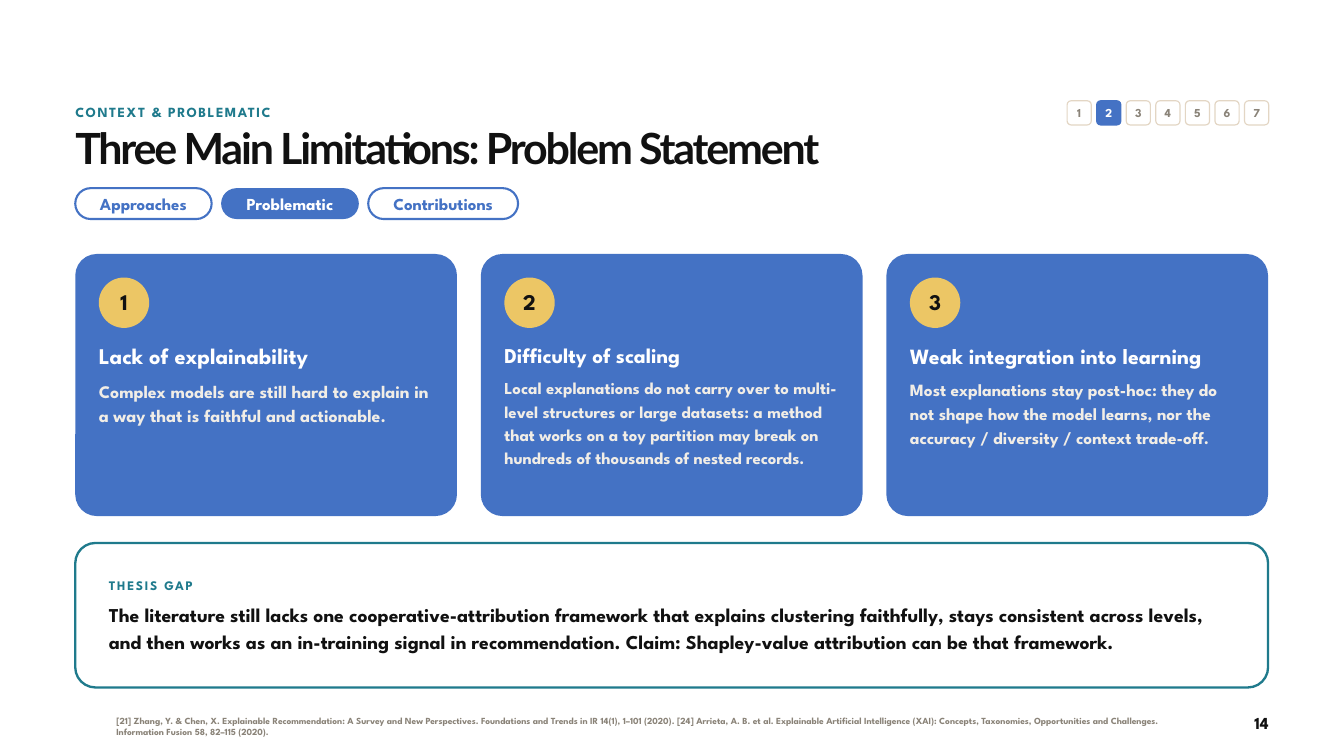
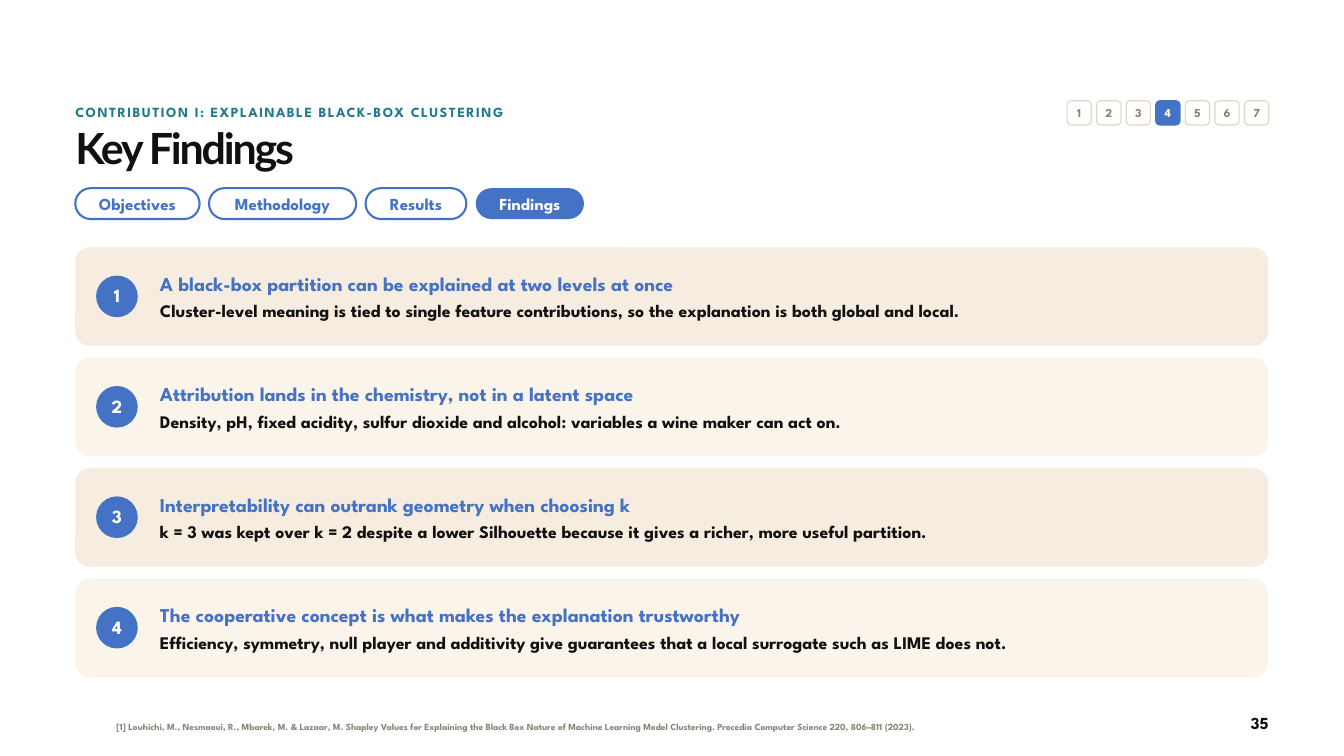
"""Build the two thesis slides: the problem statement and the key findings."""
from dataclasses import dataclass
from typing import NamedTuple, Optional

from pptx import Presentation
from pptx.dml.color import RGBColor
from pptx.enum.shapes import MSO_SHAPE
from pptx.enum.text import MSO_ANCHOR, MSO_AUTO_SIZE, PP_ALIGN
from pptx.shapes.autoshape import Shape
from pptx.slide import Slide
from pptx.text.text import TextFrame
from pptx.util import Inches, Pt


@dataclass(frozen=True)
class Theme:
    font: str = "League Spartan"
    head: str = "Lato"
    blue: str = "4472C4"
    teal: str = "1F7A8C"
    gold: str = "ECC665"
    ink: str = "111111"
    gray: str = "8A8378"
    white: str = "FFFFFF"
    pale: str = "F1EDE6"
    edge: str = "E3D6C4"
    sand: str = "F6ECDF"
    cream: str = "FBF4EB"
    title: float = 46
    badge: float = 24
    lead: float = 21
    mark: float = 20
    body: float = 19
    tab: float = 18
    kicker: float = 15
    label: float = 14
    chip: float = 13
    note: float = 10


class Box(NamedTuple):
    left: float
    top: float
    width: float
    height: float


class Tab(NamedTuple):
    text: str
    width: float


class Card(NamedTuple):
    head: str
    body: str
    scale: float = 1


class Row(NamedTuple):
    head: str
    body: str


@dataclass(frozen=True)
class Frame:
    kicker: str
    title: str
    stage: int
    tabs: tuple[Tab, ...]
    tab: int
    note: str
    page: int


T = Theme()
LEFT, WIDTH = 1.12, 17.75
STAGES = 7

LIMITS = Frame(
    "CONTEXT & PROBLEMATIC", "Three Main Limitations: Problem Statement", 2,
    (Tab("Approaches", 2.03), Tab("Problematic", 2.05), Tab("Contributions", 2.23)), 1,
    "[21] Zhang, Y. & Chen, X. Explainable Recommendation: A Survey and New Perspectives. "
    "Foundations and Trends in IR 14(1), 1–101 (2020). [24] Arrieta, A. B. et al. "
    "Explainable Artificial Intelligence (XAI): Concepts, Taxonomies, Opportunities and "
    "Challenges. Information Fusion 58, 82–115 (2020).", 14)

CARDS = (
    Card("Lack of explainability",
         "Complex models are still hard to explain in a way that is faithful and actionable."),
    Card("Difficulty of scaling",
         "Local explanations do not carry over to multi-level structures or large datasets: "
         "a method that works on a toy partition may break on hundreds of thousands of "
         "nested records.", 0.94),
    Card("Weak integration into learning",
         "Most explanations stay post-hoc: they do not shape how the model learns, nor the "
         "accuracy / diversity / context trade-off.", 0.97),
)

GAP = ("The literature still lacks one cooperative-attribution framework that explains "
       "clustering faithfully, stays consistent across levels, and then works as an "
       "in-training signal in recommendation. Claim: Shapley-value attribution can be "
       "that framework.")

FINDINGS = Frame(
    "CONTRIBUTION I: EXPLAINABLE BLACK-BOX CLUSTERING", "Key Findings", 4,
    (Tab("Objectives", 1.85), Tab("Methodology", 2.19), Tab("Results", 1.5),
     Tab("Findings", 1.61)), 3,
    "[1] Louhichi, M., Nesmaoui, R., Mbarek, M. & Lazaar, M. Shapley Values for Explaining "
    "the Black Box Nature of Machine Learning Model Clustering. Procedia Computer Science "
    "220, 806–811 (2023).", 35)

ROWS = (
    Row("A black-box partition can be explained at two levels at once",
        "Cluster-level meaning is tied to single feature contributions, so the explanation "
        "is both global and local."),
    Row("Attribution lands in the chemistry, not in a latent space",
        "Density, pH, fixed acidity, sulfur dioxide and alcohol: variables a wine maker "
        "can act on."),
    Row("Interpretability can outrank geometry when choosing k",
        "k = 3 was kept over k = 2 despite a lower Silhouette because it gives a richer, "
        "more useful partition."),
    Row("The cooperative concept is what makes the explanation trustworthy",
        "Efficiency, symmetry, null player and additivity give guarantees that a local "
        "surrogate such as LIME does not."),
)


def write(frame: TextFrame, text: str, *, size: float, line: float, color: str = T.ink,
          font: str = T.font, align: PP_ALIGN = PP_ALIGN.LEFT, before: float = 0,
          track: float = 0) -> None:
    """Add one bold paragraph to a text frame."""
    para = frame.add_paragraph() if frame.text else frame.paragraphs[0]
    para.alignment = align
    para.line_spacing = Pt(round(line, 1))
    if before:
        para.space_before = Pt(round(before, 1))
    run = para.add_run()
    run.text = text
    run.font.name = font
    run.font.size = Pt(round(size, 1))
    run.font.bold = True
    run.font.color.rgb = RGBColor.from_string(color)
    if track:
        run.font._element.set("spc", str(round(track * 100)))


def setup(frame: TextFrame, anchor: MSO_ANCHOR) -> TextFrame:
    """Clear the margins and set wrapping and anchor."""
    frame.margin_left = frame.margin_right = frame.margin_top = frame.margin_bottom = 0
    frame.auto_size = MSO_AUTO_SIZE.NONE
    frame.word_wrap = True
    frame.vertical_anchor = anchor
    return frame


def note(slide: Slide, box: Box, anchor: MSO_ANCHOR = MSO_ANCHOR.TOP) -> TextFrame:
    """Place an empty text box."""
    return setup(slide.shapes.add_textbox(*map(Inches, box)).text_frame, anchor)


def draw(slide: Slide, box: Box, *, fill: Optional[str] = None, edge: Optional[str] = None,
         weight: float = 0, bend: Optional[float] = None) -> Shape:
    """Draw a rounded box, or an ellipse when no corner radius is given."""
    kind = MSO_SHAPE.OVAL if bend is None else MSO_SHAPE.ROUNDED_RECTANGLE
    shape = slide.shapes.add_shape(kind, *map(Inches, box))
    shape.shadow.inherit = False
    if bend is not None:
        shape.adjustments[0] = bend / min(box.width, box.height)
    if fill:
        shape.fill.solid()
        shape.fill.fore_color.rgb = RGBColor.from_string(fill)
    else:
        shape.fill.background()
    if edge:
        shape.line.color.rgb = RGBColor.from_string(edge)
        shape.line.width = Pt(weight)
    else:
        shape.line.fill.background()
    setup(shape.text_frame, MSO_ANCHOR.MIDDLE)
    return shape


def badge(slide: Slide, box: Box, num: int, fill: str, color: str, size: float) -> None:
    """Draw a numbered disc."""
    disc = draw(slide, box, fill=fill)
    write(disc.text_frame, str(num), size=size, line=size * 1.1, color=color,
          align=PP_ALIGN.CENTER)


def chips(slide: Slide, stage: int) -> None:
    """Draw the row of stage numbers with the current one filled."""
    for num in range(1, STAGES + 1):
        live = num == stage
        box = Box(15.88 + 0.44 * (num - 1), 1.5, 0.36, 0.36)
        chip = draw(slide, box, fill=T.blue if live else T.white,
                    edge=T.blue if live else T.edge, weight=1.25, bend=0.06)
        write(chip.text_frame, str(num), size=T.chip, line=15,
              color=T.white if live else T.gray, align=PP_ALIGN.CENTER)


def tabs(slide: Slide, items: tuple[Tab, ...], pick: int) -> None:
    """Draw the section tabs from left to right."""
    left = LEFT
    for spot, tab in enumerate(items):
        live = spot == pick
        pill = draw(slide, Box(left, 2.8, tab.width, 0.46), fill=T.blue if live else None,
                    edge=None if live else T.blue, weight=2.25, bend=0.23)
        write(pill.text_frame, tab.text, size=T.tab, line=21.6,
              color=T.white if live else T.blue, align=PP_ALIGN.CENTER)
        left += tab.width + 0.14


def start(deck: Presentation, data: Frame) -> Slide:
    """Add a slide with the shared title, tabs and footer."""
    slide = deck.slides.add_slide(deck.slide_layouts[5])
    title = slide.shapes.title
    title.left, title.top, title.width, title.height = map(
        Inches, Box(LEFT, 1.88, WIDTH, 0.8))
    write(setup(title.text_frame, MSO_ANCHOR.TOP), data.title, size=T.title, line=50.6,
          font=T.head, track=-2.3)
    write(note(slide, Box(1.73, 10.5, 15.85, 0.62), MSO_ANCHOR.MIDDLE), data.note,
          size=T.note, line=12, color=T.gray)
    write(note(slide, Box(17.68, 10.6, 1.2, 0.36)), str(data.page), size=T.tab, line=22,
          align=PP_ALIGN.RIGHT)
    write(note(slide, Box(LEFT, 1.52, 14.15, 0.36)), data.kicker, size=T.kicker, line=20,
          color=T.teal, track=1.6)
    chips(slide, data.stage)
    tabs(slide, data.tabs, data.tab)
    return slide


def limits(deck: Presentation) -> None:
    """Build the slide with three cards and the thesis gap."""
    slide = start(deck, LIMITS)
    wide = 5.68
    step = (WIDTH - wide) / (len(CARDS) - 1)
    for spot, card in enumerate(CARDS):
        left = LEFT + spot * step
        draw(slide, Box(left, 3.78, wide, 3.9), fill=T.blue, bend=0.32)
        badge(slide, Box(left + 0.35, 4.13, 0.75, 0.75), spot + 1, T.gold, T.ink, T.badge)
        text = note(slide, Box(left + 0.35, 5.08, 4.98, 2.4))
        write(text, card.head, size=T.badge * card.scale, line=30 * card.scale,
              color=T.white)
        write(text, card.body, size=T.body * card.scale, line=26.6 * card.scale,
              color=T.pale, before=8 * card.scale)
    draw(slide, Box(LEFT, 8.08, WIDTH, 2.15), edge=T.teal, weight=2.5, bend=0.3)
    text = note(slide, Box(1.62, 8.33, 16.75, 1.65), MSO_ANCHOR.MIDDLE)
    write(text, "THESIS GAP", size=T.label, line=18, color=T.teal, track=1.8)
    write(text, GAP, size=T.lead, line=29.4, before=6)


def findings(deck: Presentation) -> None:
    """Build the slide with four numbered rows."""
    slide = start(deck, FINDINGS)
    high = 1.47
    step = (6.4 - high) / (len(ROWS) - 1)
    for spot, row in enumerate(ROWS):
        top = 3.68 + spot * step
        draw(slide, Box(LEFT, top, WIDTH, high), fill=T.cream if spot % 2 else T.sand,
             bend=0.22)
        badge(slide, Box(1.43, top + 0.42, 0.62, 0.62), spot + 1, T.blue, T.white, T.mark)
        text = note(slide, Box(2.38, top + 0.12, 16.15, 1.23), MSO_ANCHOR.MIDDLE)
        write(text, row.head, size=T.lead, line=25, color=T.blue)
        write(text, row.body, size=T.body, line=24, before=4)


def main() -> None:
    """Create and save the deck."""
    deck = Presentation()
    deck.slide_width, deck.slide_height = Inches(20), Inches(11.25)
    limits(deck)
    findings(deck)
    deck.save("out.pptx")


if __name__ == "__main__":
    main()
